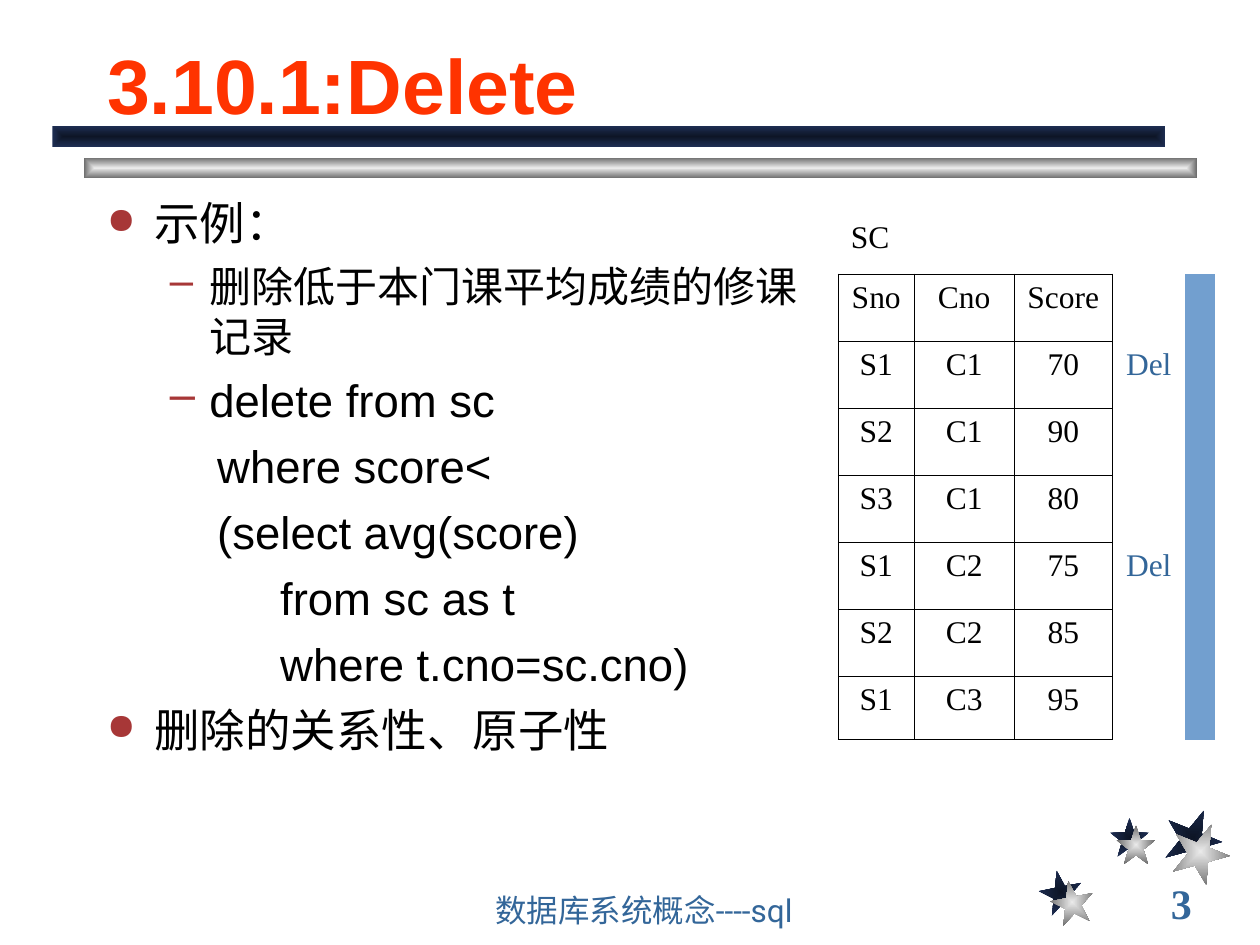
from pptx import Presentation
from pptx.dml.color import RGBColor
from pptx.enum.shapes import MSO_SHAPE as SHAPE
from pptx.enum.text import MSO_ANCHOR as ANCHOR, MSO_AUTO_SIZE as AUTO, PP_ALIGN as ALIGN
from pptx.oxml.ns import qn
from pptx.util import Pt
from lxml.etree import SubElement

NAVY = ("0D1526", "1E2E53")
SILVER = ("EAEAEA", "6B6B6B")
BLACK, BLUE, BULLET, BAND = "000000", "336699", "A73737", "729FCF"
EDGES = "LRTB"

DISC = (27, -27, "●", 80)
DASH = (58.5, -22.5, "–", 100)
CODE = (27, -27, None, None)
BODY = [
    (DISC, "示例：", 26, 0),
    (DASH, "删除低于本门课平均成绩的修课记录", 24, 6),
    (DASH, "delete from sc", 26, 6.5),
    (CODE, "\t\twhere score<", 26, 6.5),
    (CODE, "\t\t(select avg(score)", 26, 6.5),
    (CODE, "\t\t\tfrom sc as t", 26, 6.5),
    (CODE, "\t\t\twhere t.cno=sc.cno)", 26, 6.5),
    (DISC, "删除的关系性、原子性", 26, 6.5),
]
ROWS = [
    ("SC", "", "", "", ""),
    ("Sno", "Cno", "Score", "", ""),
    ("S1", "C1", "70", "Del", ""),
    ("S2", "C1", "90", "", ""),
    ("S3", "C1", "80", "", ""),
    ("S1", "C2", "75", "Del", ""),
    ("S2", "C2", "85", "", ""),
    ("S1", "C3", "95", "", ""),
]
COL_WIDTHS = [43.4, 57.1, 56.2, 41.6, 17.3]
ROW_HEIGHTS = [34] + [38.3] * 6 + [36.5]


def rgb(value):
    return RGBColor.from_string(value)


def style(font, name, size, color, bold=False):
    font.name, font.size, font.bold = name, Pt(size), bold
    font.color.rgb = rgb(color)


def add_run(p, text, *look):
    r = p.add_run()
    r.text = text
    style(r.font, *look)


def add_shape(s, kind, box, colors, rotation=0):
    sp = s.shapes.add_shape(kind, *map(Pt, box))
    sp.shadow.inherit = False
    sp.rotation = rotation
    sp.line.fill.background()
    sp.fill.gradient()
    for stop, color in zip(sp.fill.gradient_stops, colors):
        stop.color.rgb = rgb(color)
    grad = sp.element.spPr.find(qn("a:gradFill"))
    grad.remove(grad.find(qn("a:lin")))
    to = SubElement(SubElement(grad, qn("a:path"), path="rect"), qn("a:fillToRect"))
    for side in "ltrb":
        to.set(side, "50000")


def add_text(s, box, anchor):
    tf = s.shapes.add_textbox(*map(Pt, box)).text_frame
    tf.word_wrap = True
    tf.auto_size = AUTO.NONE
    tf.vertical_anchor = anchor
    return tf


def add_title(s, text):
    sp = s.shapes.title
    sp.element.getparent().append(sp.element)
    sp.left, sp.top, sp.width, sp.height = map(Pt, (54, 12, 612, 66))
    tf = sp.text_frame
    tf.auto_size = AUTO.NONE
    tf.vertical_anchor = ANCHOR.BOTTOM
    tf.paragraphs[0].alignment = ALIGN.LEFT
    add_run(tf.paragraphs[0], text, "Arial", 44, "FF3300", True)


def format_paragraph(p, margin, indent, char, percent):
    pPr = p._p.get_or_add_pPr()
    pPr.set("marL", str(Pt(margin)))
    pPr.set("indent", str(Pt(indent)))
    if char:
        SubElement(SubElement(pPr, qn("a:buClr")), qn("a:srgbClr"), val=BULLET)
        SubElement(pPr, qn("a:buSzPct"), val=str(percent * 1000))
        SubElement(pPr, qn("a:buChar"), char=char)
    else:
        SubElement(pPr, qn("a:buNone"))
        tabs = SubElement(pPr, qn("a:tabLst"))
        for i in range(8):
            SubElement(tabs, qn("a:tab"), pos=str(Pt(72 * i)), algn="l")


def add_body(s):
    tf = add_text(s, (54, 108, 419, 384), ANCHOR.TOP)
    for i, (kind, text, size, before) in enumerate(BODY):
        p = tf.add_paragraph() if i else tf.paragraphs[0]
        format_paragraph(p, *kind)
        p.space_before = Pt(before)
        if kind is DASH:
            p.level = 1
        add_run(p, text, "Arial", size, BLACK)


def set_borders(cell, visible):
    tcPr = cell._tc.get_or_add_tcPr()
    for edge in EDGES:
        ln = SubElement(tcPr, qn("a:ln" + edge), w=str(Pt(0.45)))
        if edge in visible:
            SubElement(SubElement(ln, qn("a:solidFill")), qn("a:srgbClr"), val=BLACK)
        else:
            SubElement(ln, qn("a:noFill"))


def visible_edges(row, col):
    if col < 3:
        return EDGES if row else "B"
    return "L" if row and col == 3 else ""


def add_score_table(s):
    size = sum(COL_WIDTHS), sum(ROW_HEIGHTS)
    frame = s.shapes.add_table(len(ROWS), len(COL_WIDTHS), *map(Pt, (479, 122.5, *size)))
    table = frame.table
    table.first_row = table.horz_banding = False
    for column, width in zip(table.columns, COL_WIDTHS):
        column.width = Pt(width)
    for row, height in zip(table.rows, ROW_HEIGHTS):
        row.height = Pt(height)
    for i, texts in enumerate(ROWS):
        for j, text in enumerate(texts):
            cell = table.cell(i, j)
            set_borders(cell, visible_edges(i, j))
            if i and j == 4:
                cell.fill.solid()
                cell.fill.fore_color.rgb = rgb(BAND)
            else:
                cell.fill.background()
            p = cell.text_frame.paragraphs[0]
            p.alignment = ALIGN.CENTER if i else ALIGN.LEFT
            if text:
                add_run(p, text, "Times New Roman", 18, BLUE if j == 3 else BLACK)
    table.cell(0, 0).merge(table.cell(0, 3))


def add_decoration(s):
    stars = [
        (NAVY, 594, 497.5, 24.5, 349), (NAVY, 634.3, 467.3, 22.3, 0),
        (NAVY, 665.3, 462.2, 32.8, 22), (SILVER, 600.5, 503.3, 24.5, 349),
        (SILVER, 638, 471.6, 22.3, 0), (SILVER, 669.6, 470.2, 32.8, 22),
    ]
    for colors, left, top, size, rotation in stars:
        add_shape(s, SHAPE.STAR_5_POINT, (left, top, size, size), colors, rotation)
    add_shape(s, SHAPE.RECTANGLE, (48, 90, 636, 12), SILVER)
    add_shape(s, SHAPE.RECTANGLE, (30, 72, 636, 12), NAVY)


def add_footer(s):
    p = add_text(s, (276, 510, 294, 24), ANCHOR.BOTTOM).paragraphs[0]
    add_run(p, "数据库系统概念----sql", "Roboto", 18, BLUE)
    p = add_text(s, (636, 504, 78, 24), ANCHOR.MIDDLE).paragraphs[0]
    p.alignment = ALIGN.CENTER
    add_run(p, "3", "Times New Roman", 24, BLUE, True)


def main():
    prs = Presentation()
    prs.slide_width, prs.slide_height = Pt(720), Pt(540)
    s = prs.slides.add_slide(prs.slide_layouts[5])
    add_decoration(s)
    add_title(s, "3.10.1:Delete")
    add_body(s)
    add_score_table(s)
    add_footer(s)
    prs.save("out.pptx")


if __name__ == "__main__":
    main()
